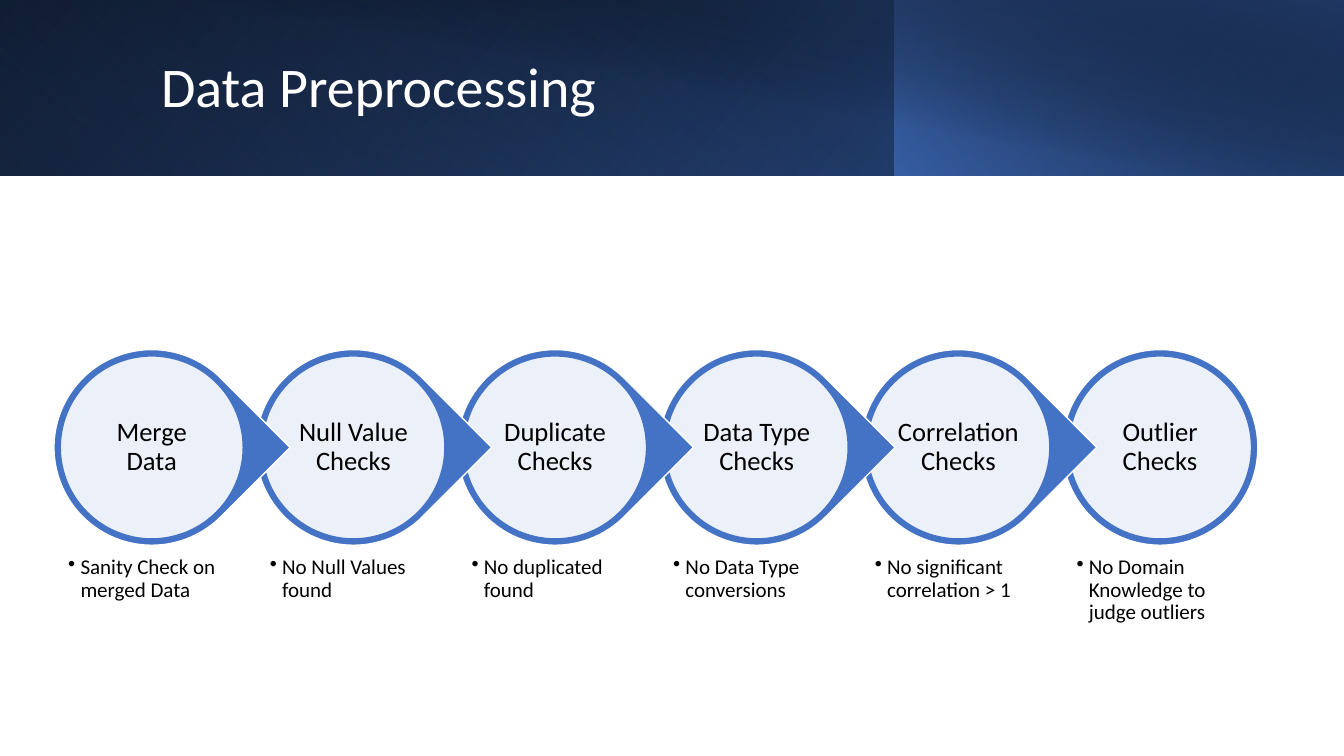
from dataclasses import dataclass

from lxml import etree
from pptx import Presentation
from pptx.dml.color import RGBColor
from pptx.enum.shapes import MSO_SHAPE
from pptx.enum.text import MSO_ANCHOR, PP_ALIGN
from pptx.oxml.ns import qn
from pptx.util import Cm, Pt

RECTANGLE, ELLIPSE, TEARDROP = MSO_SHAPE.RECTANGLE, MSO_SHAPE.OVAL, MSO_SHAPE.TEAR
LEFT, CENTER = PP_ALIGN.LEFT, PP_ALIGN.CENTER
TOP, MIDDLE = MSO_ANCHOR.TOP, MSO_ANCHOR.MIDDLE


@dataclass(frozen=True)
class Theme:
    font: str = "Calibri"
    title_size: int = 40
    label_size: int = 19
    finding_size: int = 15
    accent: str = "4472C4"
    mid_blue: str = "2F5597"
    navy: str = "203864"
    black: str = "000000"
    white: str = "FFFFFF"


THEME = Theme()
SLIDE_WIDTH, SLIDE_HEIGHT = 33.87, 19.05

STEPS = [
    ("Merge Data", "Sanity Check on merged Data"),
    ("Null Value Checks", "No Null Values found"),
    ("Duplicate Checks", "No duplicated found"),
    ("Data Type Checks", "No Data Type conversions"),
    ("Correlation Checks", "No significant correlation > 1"),
    ("Outlier Checks", "No Domain Knowledge to judge outliers"),
]


def set_alpha(color, percent):
    etree.SubElement(color, qn("a:alpha"), val=str(percent * 1000))


def add_plain_shape(slide, preset, box):
    shape = slide.shapes.add_shape(preset, *map(Cm, box))
    shape.shadow.inherit = False
    return shape


def add_gradient_panel(slide, box, stops, angle, flipped=False, rotation=0):
    """Stops are (position %, colour, opacity %); angle runs clockwise."""
    panel = add_plain_shape(slide, RECTANGLE, box)
    panel.line.fill.background()
    panel.rotation = rotation
    properties = panel._element.spPr
    if flipped:
        properties.find(qn("a:xfrm")).set("flipH", "1")
    gradient = etree.Element(qn("a:gradFill"), rotWithShape="1")
    stop_list = etree.SubElement(gradient, qn("a:gsLst"))
    for position, color, opacity in stops:
        stop = etree.SubElement(stop_list, qn("a:gs"), pos=str(position * 1000))
        set_alpha(etree.SubElement(stop, qn("a:srgbClr"), val=color), opacity)
    etree.SubElement(gradient, qn("a:lin"), ang=str(angle * 60000), scaled="0")
    properties.find(qn("a:prstGeom")).addnext(gradient)


def add_disc(slide, preset, box, fill, line):
    disc = add_plain_shape(slide, preset, box)
    disc.fill.solid()
    disc.fill.fore_color.rgb = RGBColor.from_string(fill)
    disc.line.color.rgb = RGBColor.from_string(line)
    disc.line.width = Pt(1)
    return disc


def add_text(slide, box, text, size, color, margins, anchor=MIDDLE, align=LEFT):
    frame = slide.shapes.add_textbox(*map(Cm, box)).text_frame
    horizontal, vertical = map(Cm, margins)
    frame_format = {
        "word_wrap": True,
        "vertical_anchor": anchor,
        "margin_left": horizontal,
        "margin_right": horizontal,
        "margin_top": vertical,
        "margin_bottom": vertical,
    }
    for name, value in frame_format.items():
        setattr(frame, name, value)
    paragraph = frame.paragraphs[0]
    paragraph.alignment = align
    paragraph.line_spacing = 0.9
    run = paragraph.add_run()
    run.text = text
    run.font.name = THEME.font
    run.font.size = Pt(size)
    run.font.color.rgb = RGBColor.from_string(color)
    return paragraph


def add_bullet(paragraph, indent):
    properties = paragraph._p.get_or_add_pPr()
    properties.set("marL", str(indent))
    properties.set("indent", str(-indent))
    etree.SubElement(properties, qn("a:buChar"), char="•")


def add_header(slide, box, title):
    left, top, width, height = box
    split = 22.55
    add_gradient_panel(slide, box, [(0, THEME.black, 100), (100, THEME.mid_blue, 100)],
                       140, flipped=True)
    add_gradient_panel(slide, (left, top, split, height),
                       [(20, THEME.accent, 0), (100, THEME.navy, 55)],
                       230, flipped=True, rotation=180)
    add_gradient_panel(slide, (left + split, top, width - split, height),
                       [(0, THEME.accent, 66), (100, THEME.black, 30)],
                       220, flipped=True)
    add_gradient_panel(slide, (left + 1.27, top, width - 1.27, height),
                       [(50, THEME.black, 0), (99, THEME.navy, 52)], 280)
    add_text(slide, (left + 3.81, top + 0.81, 27.48, 2.87), title,
             THEME.title_size, THEME.white, (0.25, 0.13))


def add_step(slide, box, label, finding, is_last):
    left, top, size, height = box
    rim = add_disc(slide, ELLIPSE if is_last else TEARDROP,
                   (left, top, size, size), THEME.accent, THEME.white)
    if not is_last:
        rim.adjustments[0] = 1
        rim.rotation = 45

    def inset_square(inset):
        return left + inset, top + inset, size - 2 * inset, size - 2 * inset

    face = add_disc(slide, ELLIPSE, inset_square(0.16), THEME.white, THEME.accent)
    set_alpha(face._element.spPr.find(qn("a:solidFill"))[0], 90)
    add_text(slide, inset_square(0.83), label, THEME.label_size, THEME.black,
             (0.07, 0.07), align=CENTER)
    finding_top = 5.01
    bullet = add_text(slide, (left + 0.16, top + finding_top, size - 0.32, height - finding_top),
                      finding, THEME.finding_size, THEME.black, (0.2, 0.2), anchor=TOP)
    add_bullet(bullet, Cm(0.31))


def add_process(slide, box, steps):
    """Steps share the width evenly; each arrow tip lies over the next step."""
    left, top, width, height = box
    size = 4.93
    pitch = (width - size) / (len(steps) - 1)
    for index, (label, finding) in reversed(list(enumerate(steps))):
        add_step(slide, (left + index * pitch, top, size, height),
                 label, finding, index == len(steps) - 1)


def main():
    presentation = Presentation()
    presentation.slide_width = Cm(SLIDE_WIDTH)
    presentation.slide_height = Cm(SLIDE_HEIGHT)
    slide = presentation.slides.add_slide(presentation.slide_layouts[6])
    add_header(slide, (0, 0, SLIDE_WIDTH, 4.43), "Data Preprocessing")
    add_process(slide, (1.36, 8.81, 30.34, 7.7), STEPS)
    presentation.save("out.pptx")


if __name__ == "__main__":
    main()
